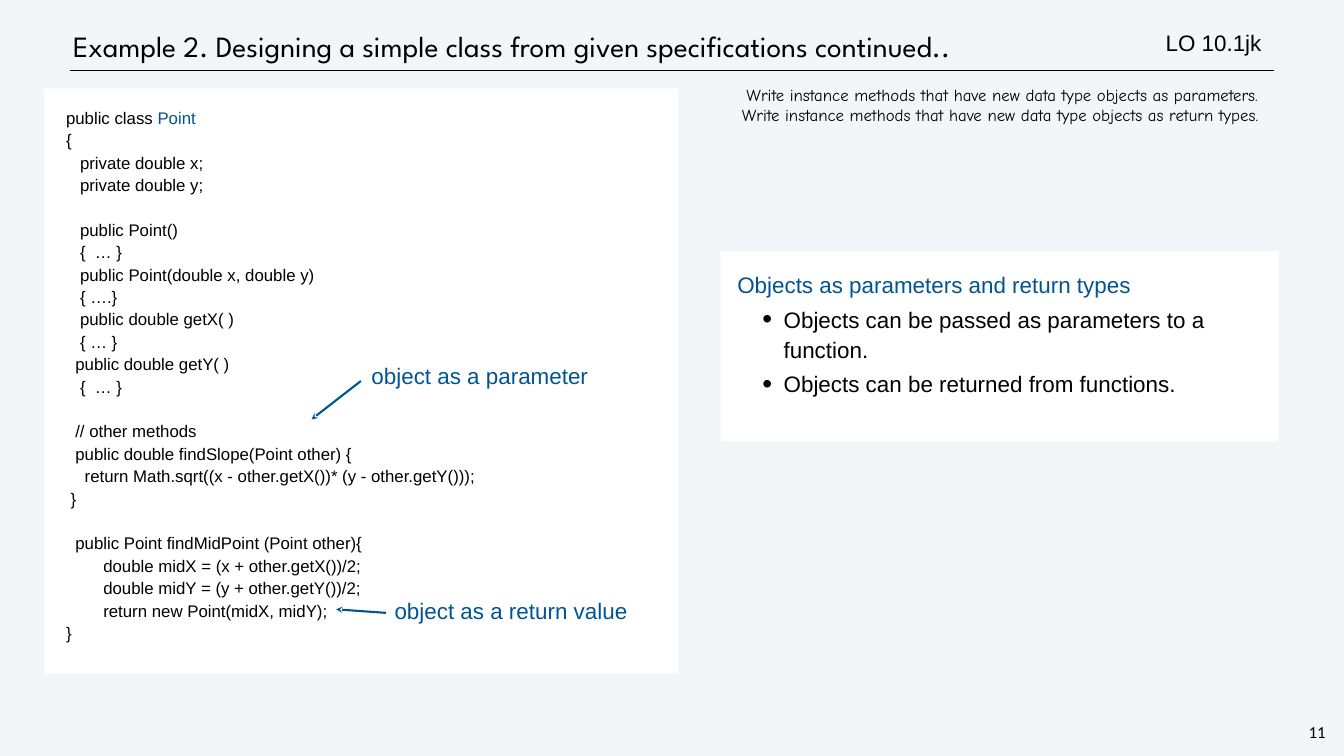
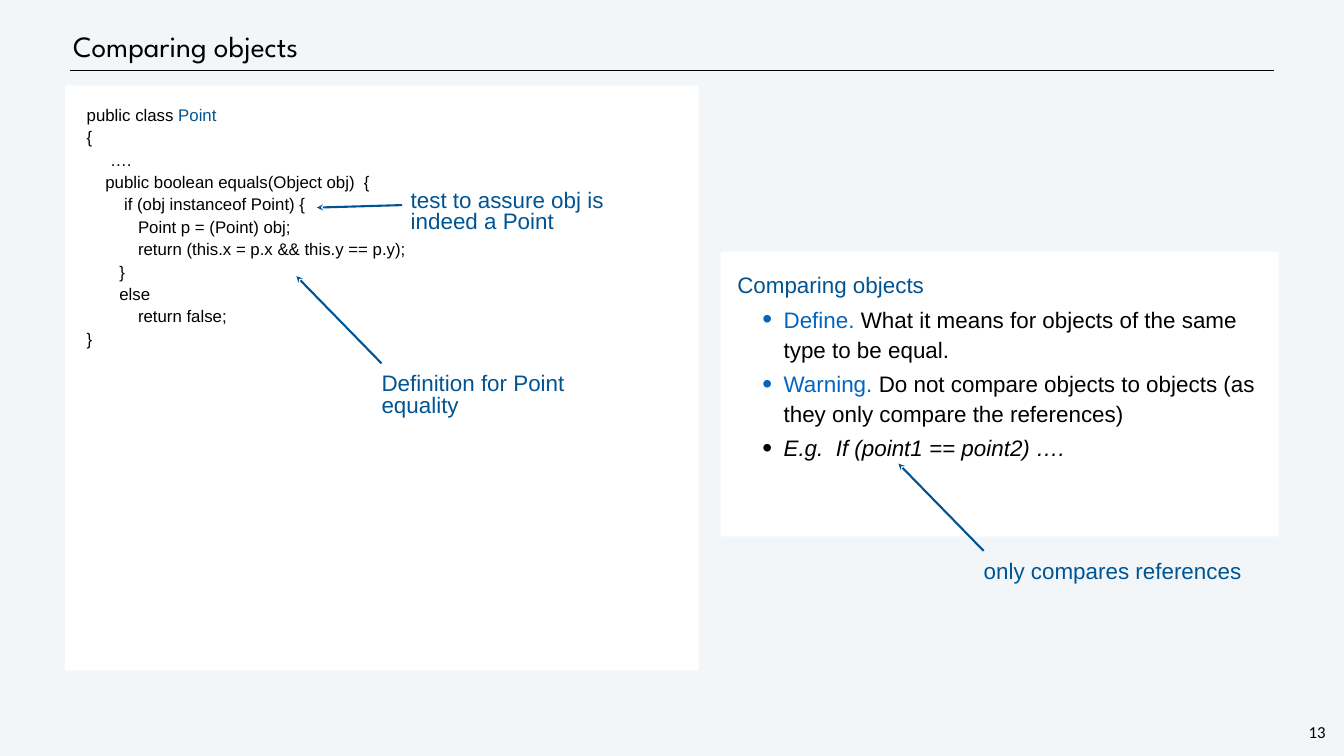
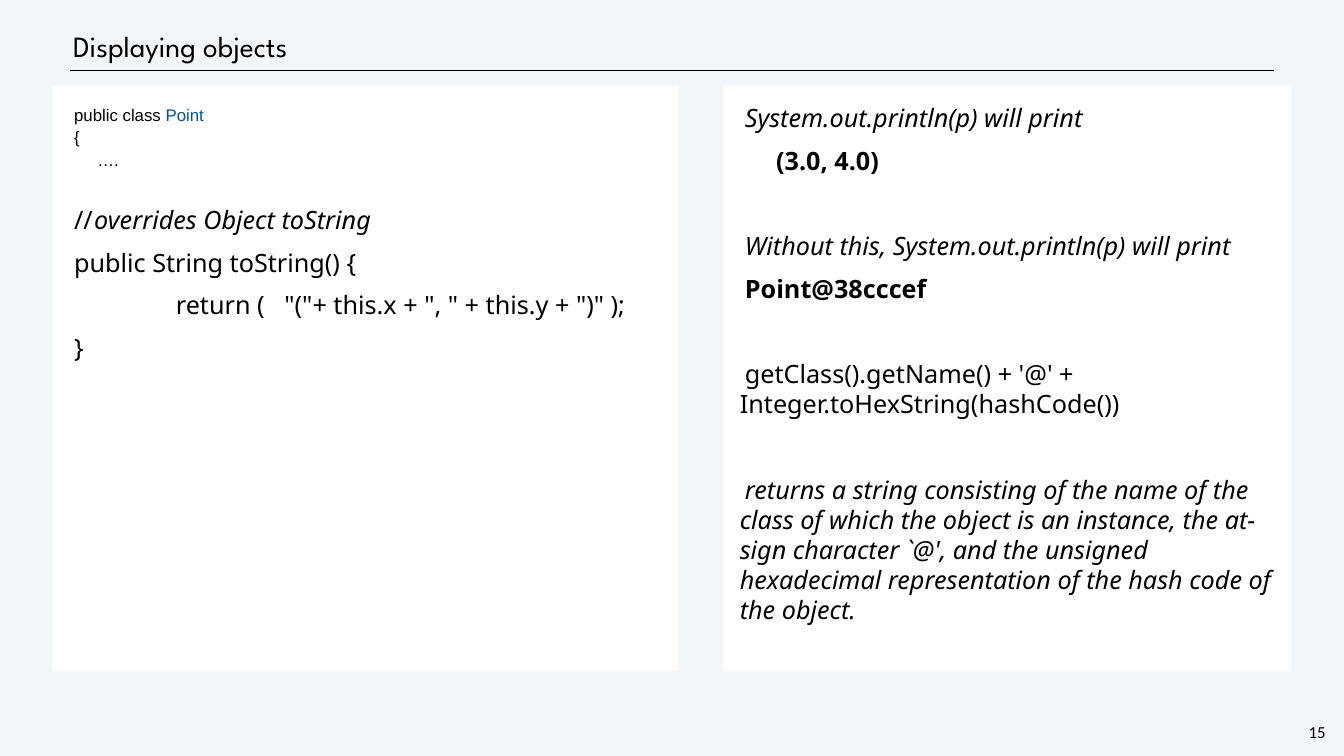
from lxml.etree import SubElement
from pptx import Presentation
from pptx.dml.color import RGBColor
from pptx.enum.shapes import MSO_CONNECTOR, MSO_SHAPE
from pptx.enum.text import MSO_ANCHOR, PP_ALIGN
from pptx.oxml.ns import qn
from pptx.util import Inches, Pt

WIDE, HIGH = Inches(26.67), Inches(15)
BLACK = RGBColor(0x00, 0x00, 0x00)
WHITE = RGBColor(0xFF, 0xFF, 0xFF)
PALE = RGBColor(0xF3, 0xF6, 0xF9)
NAVY = RGBColor(0x00, 0x54, 0x93)
BLUE = RGBColor(0x03, 0x65, 0xC0)

# Text styles
TITLE = {"name": "League Spartan", "size": Pt(42)}
CODE = {"name": "Arial", "size": Pt(24)}
NOTE = {"name": "Arial", "size": Pt(32)}
LARGE = {"name": "Noto Sans", "size": Pt(36)}
GOAL = {"name": "Comic Neue", "size": Pt(24)}
PAGE = {"name": "Calibri", "size": Pt(24)}
ITALIC = {"italic": True}
BOLD = {"bold": True}

# Paragraph rhythm
ROW, STEP, LEAD = 32, 43, 18
SPACE = Pt(24 * 5 / 18)  # one blank in the code font
FIRST = Inches(0.1)
DEEP = Inches(0.33)
SLIM = Inches(0.06)


def across(share):
    return round(WIDE * share / 100)


def down(share):
    return round(HIGH * share / 100)


def place(box):
    """Turn left, top, width, height in percent of the slide into lengths."""
    x, y, w, h = box
    return across(x), down(y), across(w), down(h)


def apply(item, values):
    for key, value in values.items():
        setattr(item, key, value)


def setup(frame, inset, anchor=MSO_ANCHOR.TOP, wrap=True):
    apply(frame, {"word_wrap": wrap, "vertical_anchor": anchor,
                  "margin_left": inset, "margin_right": inset,
                  "margin_top": inset, "margin_bottom": inset})
    return frame


def write(frame, runs, style, layout=None, first=0, margin=0):
    """Add one paragraph; runs is a text or a list of (text, colour, extras)."""
    para = frame.paragraphs[0]
    if para.runs:
        para = frame.add_paragraph()
    apply(para, {"alignment": PP_ALIGN.LEFT, **(layout or {})})
    props = para._p.get_or_add_pPr()
    props.set("marL", str(int(margin)))
    props.set("indent", str(int(first)))
    if isinstance(runs, str):
        runs = [(runs, BLACK, {})]
    for text, color, extra in runs:
        run = para.add_run()
        run.text = text
        apply(run.font, {**style, **extra})
        run.font.color.rgb = color
    return props


def label(slide, box, inset, anchor=MSO_ANCHOR.TOP, wrap=True):
    return setup(slide.shapes.add_textbox(*place(box)).text_frame,
                 inset, anchor, wrap)


def panel(slide, box):
    shape = slide.shapes.add_shape(MSO_SHAPE.RECTANGLE, *place(box))
    shape.shadow.inherit = False
    shape.fill.solid()
    shape.fill.fore_color.rgb = WHITE
    shape.line.fill.background()
    return setup(shape.text_frame, DEEP)


def stroke(slide, start, end, color, width):
    line = slide.shapes.add_connector(
        MSO_CONNECTOR.STRAIGHT, across(start[0]), down(start[1]),
        across(end[0]), down(end[1]))
    line.line.color.rgb = color
    line.line.width = Pt(width)
    SubElement(line._element.spPr, qn("a:effectLst"))
    return line


def begin(deck, text, number):
    """Title, rule and page number shared by all slides."""
    slide = deck.slides.add_slide(deck.slide_layouts[5])
    slide.background.fill.solid()
    slide.background.fill.fore_color.rgb = PALE
    title = slide.shapes.title
    spots = place((5.21, 2.8, 84.81, 6.6))
    apply(title, dict(zip(("left", "top", "width", "height"), spots)))
    frame = setup(title.text_frame, SLIM, MSO_ANCHOR.MIDDLE)
    write(frame, text, TITLE, {"line_spacing": Pt(50), "space_before": Pt(3)})
    stroke(slide, (5.21, 9.33), (94.79, 9.33), BLACK, 1)
    page = label(slide, (97.19, 95.27, 1.61, 3.13), Inches(0.04), wrap=False)
    write(page, str(number), PAGE,
          {"alignment": PP_ALIGN.CENTER, "line_spacing": Pt(28)})
    return slide


def code(slide, box, rows):
    """Listing; each row is (blanks of indent, text, empty rows above)."""
    frame = panel(slide, box)
    head = [("public class ", BLACK, {}), ("Point", NAVY, {})]
    for depth, text, gap in [(0, head, 0), (0, "{", 0), *rows]:
        write(frame, text, CODE,
              {"line_spacing": Pt(ROW), "space_before": Pt(gap * ROW)},
              FIRST + depth * SPACE)
    return frame


def large(frame, text, first=FIRST, gap=0, extra=None):
    """One row of large text, with extra points of space above."""
    runs = text if isinstance(text, list) else [(text, BLACK, extra or {})]
    return write(frame, runs, LARGE,
                 {"line_spacing": Pt(STEP), "space_before": Pt(LEAD + gap)},
                 first)


def notes(slide, box, head, points):
    """Heading with bulleted points."""
    frame = panel(slide, box)
    layout = {"line_spacing": Pt(STEP), "space_before": Pt(6)}
    write(frame, [(head, NAVY, {})], NOTE, layout)
    for runs in points:
        props = write(frame, runs, NOTE, layout, Inches(-0.42), Inches(0.92))
        SubElement(props, qn("a:buSzPct"), val="125000")
        SubElement(props, qn("a:buFont"), typeface="Arial")
        SubElement(props, qn("a:buChar"), char="•")


def callout(slide, box, text, start, end):
    """Label with an arrow; start and end are offsets from its corner."""
    frame = label(slide, box, Inches(0.17))
    write(frame, [(text, NAVY, {})], NOTE, {"line_spacing": 0.8})
    ends = [(box[0] + x, box[1] + y) for x, y in (start, end)]
    arrow = stroke(slide, *ends, NAVY, 3)
    SubElement(arrow.line._get_or_add_ln(), qn("a:tailEnd"), type="stealth")


def params(deck):
    slide = begin(deck, "Example 2. Designing a simple class from given "
                        "specifications continued..", 11)
    code(slide, (3.3, 11.73, 47.13, 77.33), [
        (3, "private double x;", 0),
        (3, "private double y;", 0),
        (3, "public Point()", 1),
        (3, "{  … }", 0),
        (3, "public Point(double x, double y)", 0),
        (3, "{ ….}", 0),
        (3, "public double getX( )", 0),
        (3, "{ … }", 0),
        (2, "public double getY( )", 0),
        (3, "{  … }", 0),
        (2, "// other methods", 1),
        (2, "public double findSlope(Point other) {", 0),
        (4, "return Math.sqrt((x - other.getX())* (y - other.getY()));", 0),
        (1, "}", 0),
        (2, "public Point findMidPoint (Point other){", 1),
        (8, "double midX = (x + other.getX())/2;", 0),
        (8, "double midY = (y + other.getY())/2;", 0),
        (8, "return new Point(midX, midY);", 0),
        (0, "}", 0)])
    mark = label(slide, (86.5, 3.4, 11.21, 4.33), SLIM, MSO_ANCHOR.MIDDLE)
    write(mark, "LO 10.1jk", NOTE)
    notes(slide, (53.62, 33.27, 41.51, 25.13),
          "Objects as parameters and return types",
          ["Objects can be passed as parameters to a function.",
           "Objects can be returned from functions."])
    callout(slide, (27, 47.47, 20.51, 5.13), "object as a parameter",
            (-0.15, 2.93), (-3.82, 8))
    callout(slide, (28.72, 78.47, 20.51, 5.13), "object as a return value",
            (0, 2.6), (-3.71, 2.13))
    # Learning goals
    goals = label(slide, (54.97, 10.8, 44.9, 6.13), SLIM, MSO_ANCHOR.MIDDLE)
    for use, first in (("parameters", SPACE), ("return types", 0)):
        write(goals, "Write instance methods that have new data type "
                     f"objects as {use}.", GOAL, first=first)


def compare(deck):
    slide = begin(deck, "Comparing objects", 13)
    code(slide, (4.84, 11.33, 47.13, 77.33), [
        (5, "….", 0),
        (4, "public boolean equals(Object obj)  {", 0),
        (8, "if (obj instanceof Point) {", 0),
        (11, "Point p = (Point) obj;", 0),
        (11, "return (this.x = p.x && this.y == p.y);", 0),
        (7, "}", 0),
        (7, "else", 0),
        (11, "return false;", 0),
        (0, "}", 0)])
    notes(slide, (53.62, 33.27, 41.51, 37.67), "Comparing objects", [
        [("Define.", BLUE, {}),
         (" What it means for objects of the same type to be equal.",
          BLACK, {})],
        [("Warning. ", BLUE, {}),
         ("Do not compare objects to objects (as they only compare the "
          "references)", BLACK, {})],
        [("E.g.  If (point1 == point2) ….", BLACK, ITALIC)]])
    callout(slide, (29.92, 24.13, 20.51, 8),
            "test to assure obj is indeed a Point", (0, 3), (-6.34, 3.33))
    for box, text in (
            ((27.75, 48.4, 20.51, 8), "Definition for Point equality"),
            ((72.55, 73.2, 24.63, 5.13), "only compares references")):
        callout(slide, box, text, (0.64, -0.33), (-5.7, -11.87))


def display(deck):
    slide = begin(deck, "Displaying objects", 15)
    frame = code(slide, (3.9, 11.33, 46.57, 77.33), [(5, "….", 0)])
    props = large(frame, [("//\t", BLACK, {}),
                          ("overrides Object toString", BLACK, ITALIC)],
                  gap=ROW)
    stops = SubElement(props, qn("a:tabLst"))
    SubElement(stops, qn("a:tab"), pos=str(Inches(1.39)), algn="l")
    large(frame, "public String toString() {")
    large(frame, 'return (   "("+ this.x + ", " + this.y + ")" );',
          Inches(2.12))
    large(frame, "}")

    # Printed results
    side = panel(slide, (53.81, 11.33, 42.26, 77.33))
    blank = STEP + LEAD
    large(side, "System.out.println(p) will print", extra=ITALIC)
    large(side, "(3.0, 4.0)", Inches(0.72), extra=BOLD)
    large(side, "Without this, System.out.println(p) will print",
          gap=blank, extra=ITALIC)
    large(side, "Point@38cccef", extra=BOLD)
    large(side, "getClass().getName() + '@' + "
                "Integer.toHexString(hashCode())", gap=blank)
    large(side, "returns a string consisting of the name of the class of "
                "which the object is an instance, the at-sign character "
                "`@', and the unsigned hexadecimal representation of the "
                "hash code of the object.", gap=blank, extra=ITALIC)


def main():
    deck = Presentation()
    deck.slide_width, deck.slide_height = WIDE, HIGH
    for build in (params, compare, display):
        build(deck)
    deck.save("out.pptx")


if __name__ == "__main__":
    main()
